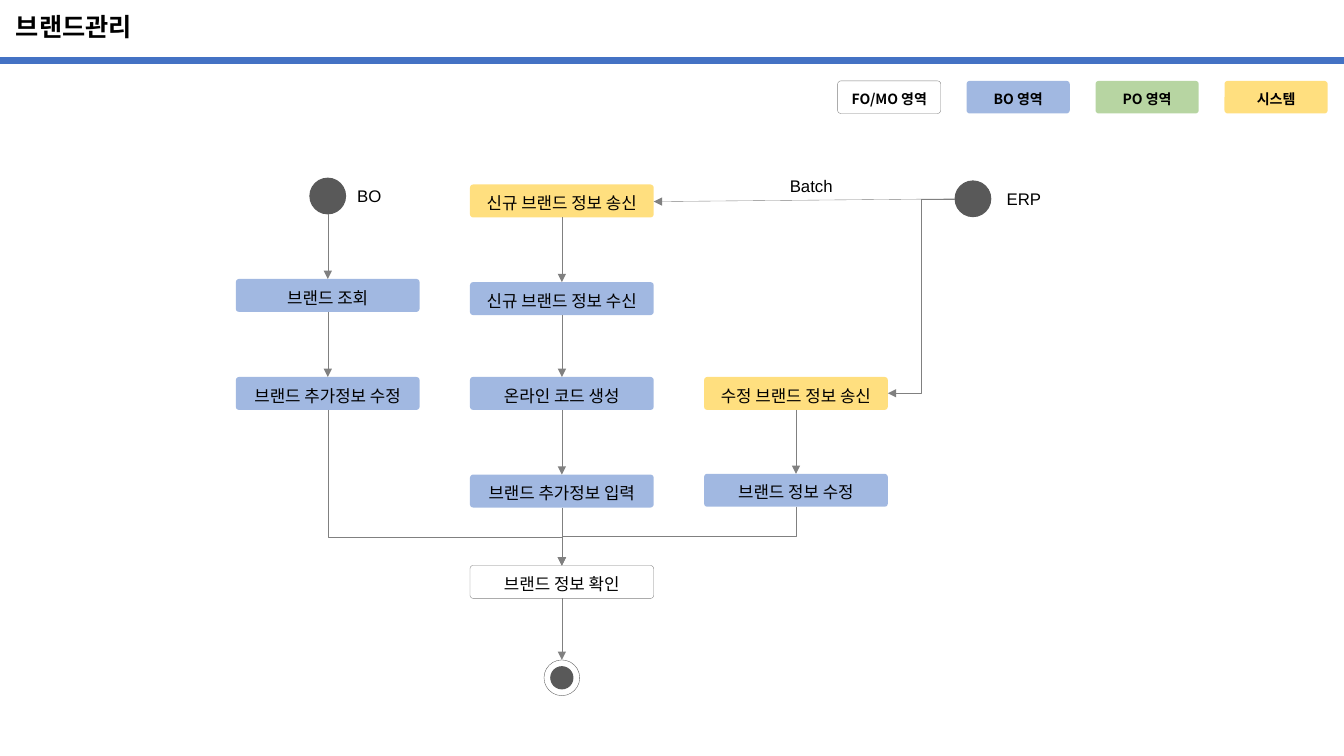
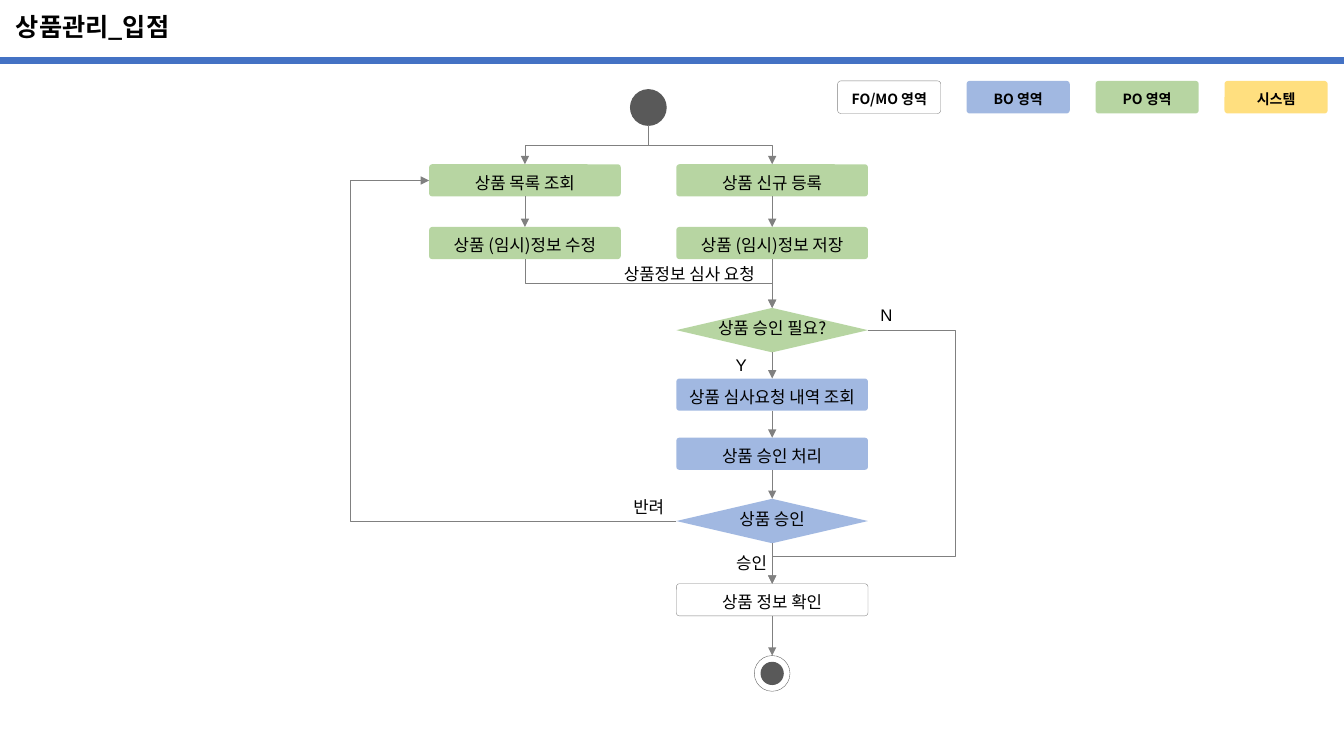
from lxml.etree import SubElement
from pptx import Presentation
from pptx.dml.color import RGBColor
from pptx.enum.shapes import MSO_CONNECTOR, MSO_SHAPE
from pptx.enum.text import MSO_ANCHOR, PP_ALIGN
from pptx.oxml.ns import qn
from pptx.util import Cm, Pt

COLORS = {
    "fo": "FFFFFF", "bo": "4472C4", "po": "70AD47", "sys": "FFC000",
    "bar": "4472C4", "line": "808080", "dot": "595959", "text": "000000",
}
LEGEND = [("FO/MO 영역", "fo"), ("BO 영역", "bo"), ("PO 영역", "po"), ("시스템", "sys")]
SANS, KOREAN = "Arial", "Noto Sans CJK KR"
WIDTH, HEIGHT = 33.87, 19.05
DOT = 0.9
BOX, GEM = MSO_SHAPE.ROUNDED_RECTANGLE, MSO_SHAPE.FLOWCHART_DECISION


def color(key):
    return RGBColor.from_string(COLORS[key])


class Flow:
    def __init__(self):
        self.deck = Presentation()
        self.deck.slide_width, self.deck.slide_height = Cm(WIDTH), Cm(HEIGHT)

    def page(self, title, width, height, font):
        self.slide = self.deck.slides.add_slide(self.deck.slide_layouts[6])
        self.shapes = self.slide.shapes
        self.width, self.height, self.font = width, height, font
        self.link((0, 1.52), (WIDTH, 1.52), "bar", 4.75, False)
        for i, (text, key) in enumerate(LEGEND):
            item = self.shape(BOX, 21.11 + 3.25 * i, 2.04, 2.6, 0.82, key)
            self.fit(item, text, KOREAN, 10, True, space=1.2)
        self.label(title, 0.4, 0, 33, 1.35, PP_ALIGN.LEFT, KOREAN, 18, True)

    def fit(self, shape, text, font, size=12, bold=False,
            align=PP_ALIGN.CENTER, space=1.0):
        frame = shape.text_frame
        frame.text = text
        frame.word_wrap = shape.auto_shape_type != GEM
        frame.vertical_anchor = MSO_ANCHOR.MIDDLE
        frame.margin_left = frame.margin_right = 0
        frame.margin_top = frame.margin_bottom = 0
        para = frame.paragraphs[0]
        para.alignment, para.line_spacing = align, space
        para.space_after = Pt(2 if space != 1 else 0)
        run = para.runs[0]
        run.font.name, run.font.size, run.font.bold = font, Pt(size), bold
        run.font.color.rgb = color("text")
        SubElement(run.font._element, qn("a:ea")).set("typeface", KOREAN)

    def shape(self, kind, x, y, w, h, key, edge=None, weight=0.25):
        item = self.shapes.add_shape(kind, Cm(x), Cm(y), Cm(w), Cm(h))
        item.shadow.inherit = False
        item.fill.solid()
        item.fill.fore_color.rgb = color(key)
        if kind == BOX:
            item.adjustments[0] = 0.097
            edge = "line" if key == "fo" else None
        if key in ("bo", "po", "sys"):
            tone = item.fill._xPr.find(".//" + qn("a:srgbClr"))
            SubElement(tone, qn("a:alpha")).set("val", "50000")
        if edge:
            item.line.color.rgb = color(edge)
            item.line.width = Pt(weight)
        else:
            item.line.fill.background()
        return item

    def label(self, text, x, y, w, h=0.81, align=PP_ALIGN.CENTER,
              font=SANS, size=12, bold=False, key=None):
        item = self.shape(MSO_SHAPE.RECTANGLE, x, y, w, h, "fo")
        if not key:
            item.fill.background()
        self.fit(item, text, font, size, bold, align)

    def dot(self, x, y, size=DOT, key="dot", weight=0.75):
        self.shape(MSO_SHAPE.FLOWCHART_CONNECTOR, x - size / 2, y, size, size,
                   key, "dot", weight)

    def stop(self, x, y):
        self.dot(x, y, DOT, "fo", 0.25)
        self.dot(x, y + 0.17, DOT - 0.34)

    def style(self, line, key, weight, arrow):
        line.line.color.rgb = color(key)
        line.line.width = Pt(weight)
        if arrow:
            SubElement(line.line._get_or_add_ln(), qn("a:tailEnd")).set("type", "triangle")
        SubElement(line._element.spPr, qn("a:effectLst"))

    def link(self, start, end, key="line", weight=0.25, arrow=True):
        line = self.shapes.add_connector(
            MSO_CONNECTOR.STRAIGHT, *map(Cm, start), *map(Cm, end))
        self.style(line, key, weight, arrow)

    def bend(self, start, end, *turns, down=False):
        (x1, y1), (x2, y2) = start, end
        turn = 0
        if down:
            mid, level = (x1 + x2) / 2, (y1 + y2) / 2
            side = 1 if x2 > x1 else -1
            half, rise = side * (y2 - y1) / 2, side * (x2 - x1) / 2
            x1, y1, x2, y2 = mid + half, level - rise, mid - half, level + rise
            turn = 270 if side > 0 else 90
        line = self.shapes.add_connector(MSO_CONNECTOR.ELBOW, *map(Cm, (x1, y1, x2, y2)))
        prop = line._element.spPr
        if turn:
            prop.find(qn("a:xfrm")).set("rot", str(turn * 60000))
        geom = prop.find(qn("a:prstGeom"))
        geom.set("prst", f"bentConnector{len(turns) + 2}")
        guides = geom.find(qn("a:avLst"))
        if guides is None:
            guides = SubElement(geom, qn("a:avLst"))
        for i, part in enumerate(turns, 1):
            guide = SubElement(guides, qn("a:gd"))
            guide.set("name", f"adj{i}")
            guide.set("fmla", f"val {round(part * 100000)}")
        self.style(line, "line", 0.25, True)

    def chain(self, x, steps, stop=None):
        last = None
        for text, y, key, kind in steps:
            high = 1.12 if kind == GEM else self.height
            item = self.shape(kind, x - self.width / 2, y, self.width, high, key)
            self.fit(item, text, self.font, space=0.8 if kind == GEM else 1.2)
            if last:
                self.link((x, last), (x, y))
            last = y + high
        if stop:
            self.link((x, last), (x, stop))
            self.stop(x, stop)


def brand(flow):
    flow.page("브랜드관리", 4.63, 0.83, SANS)
    left, mid, right = (8.26 + 5.9 * i for i in range(3))
    erp = 24.52
    flow.chain(left, [
        ("브랜드 조회", 7.03, "bo", BOX),
        ("브랜드 추가정보 수정", 9.5, "bo", BOX),
    ])
    flow.chain(mid, [
        ("신규 브랜드 정보 송신", 4.65, "sys", BOX),
        ("신규 브랜드 정보 수신", 7.11, "bo", BOX),
        ("온라인 코드 생성", 9.5, "bo", BOX),
        ("브랜드 추가정보 입력", 11.96, "bo", BOX),
        ("브랜드 정보 확인", 14.25, "fo", BOX),
    ], 16.63)
    flow.chain(right, [
        ("수정 브랜드 정보 송신", 9.5, "sys", BOX),
        ("브랜드 정보 수정", 11.94, "bo", BOX),
    ])
    flow.label("Batch", 19.38, 4.45, 2.13, 0.46, key="fo")
    flow.dot(left, 4.49)
    flow.label("BO", 9, 4.49, 2.3, DOT, PP_ALIGN.LEFT)
    flow.dot(erp, 4.56)
    flow.label("ERP", 25.37, 4.56, 2.3, DOT, PP_ALIGN.LEFT)
    flow.link((left, 4.49 + DOT), (left, 7.03))
    source = (erp - DOT / 2, 5.01)
    flow.link(source, (mid + flow.width / 2, 5.08))
    flow.bend(source, (right + flow.width / 2, 9.91), 0.5)
    flow.bend((left, 10.33), (mid, 14.25), 0.82, down=True)
    flow.bend((right, 12.77), (mid, 14.25), 0.5, down=True)


def goods(flow):
    flow.page("상품관리_입점", 4.83, 0.81, KOREAN)
    left, right, start = 13.23, 19.46, 16.34
    half = flow.width / 2
    flow.chain(left, [
        ("상품 목록 조회", 4.14, "po", BOX),
        ("상품 (임시)정보 수정", 5.72, "po", BOX),
    ])
    flow.chain(right, [
        ("상품 신규 등록", 4.14, "po", BOX),
        ("상품 (임시)정보 저장", 5.72, "po", BOX),
        ("상품 승인 필요?", 7.76, "po", GEM),
        ("상품 심사요청 내역 조회", 9.54, "bo", BOX),
        ("상품 승인 처리", 11.03, "bo", BOX),
        ("상품 승인", 12.57, "bo", GEM),
        ("상품 정보 확인", 14.71, "fo", BOX),
    ], 16.52)
    flow.dot(start, 2.26)
    for x in (left, right):
        flow.bend((start, 2.26 + DOT), (x, 4.14), 0.5, down=True)
    flow.bend((left, 6.53), (right, 7.76), 0.5, down=True)
    flow.bend((right + half, 8.32), (right, 14.71), -0.91, 0.89)
    flow.bend((right - half, 13.13), (left - half, 4.55), 1.32)
    for text, x, y in [("승인", 18.24, 13.79), ("반려", 15.65, 12.37),
                       ("Y", 17.98, 8.79), ("N", 21.64, 7.52)]:
        flow.label(text, x, y, 1.4)
    flow.label("상품정보 심사 요청", 15.52, 6.5, 3.71)


def main():
    flow = Flow()
    brand(flow)
    goods(flow)
    flow.deck.save("out.pptx")


if __name__ == "__main__":
    main()
